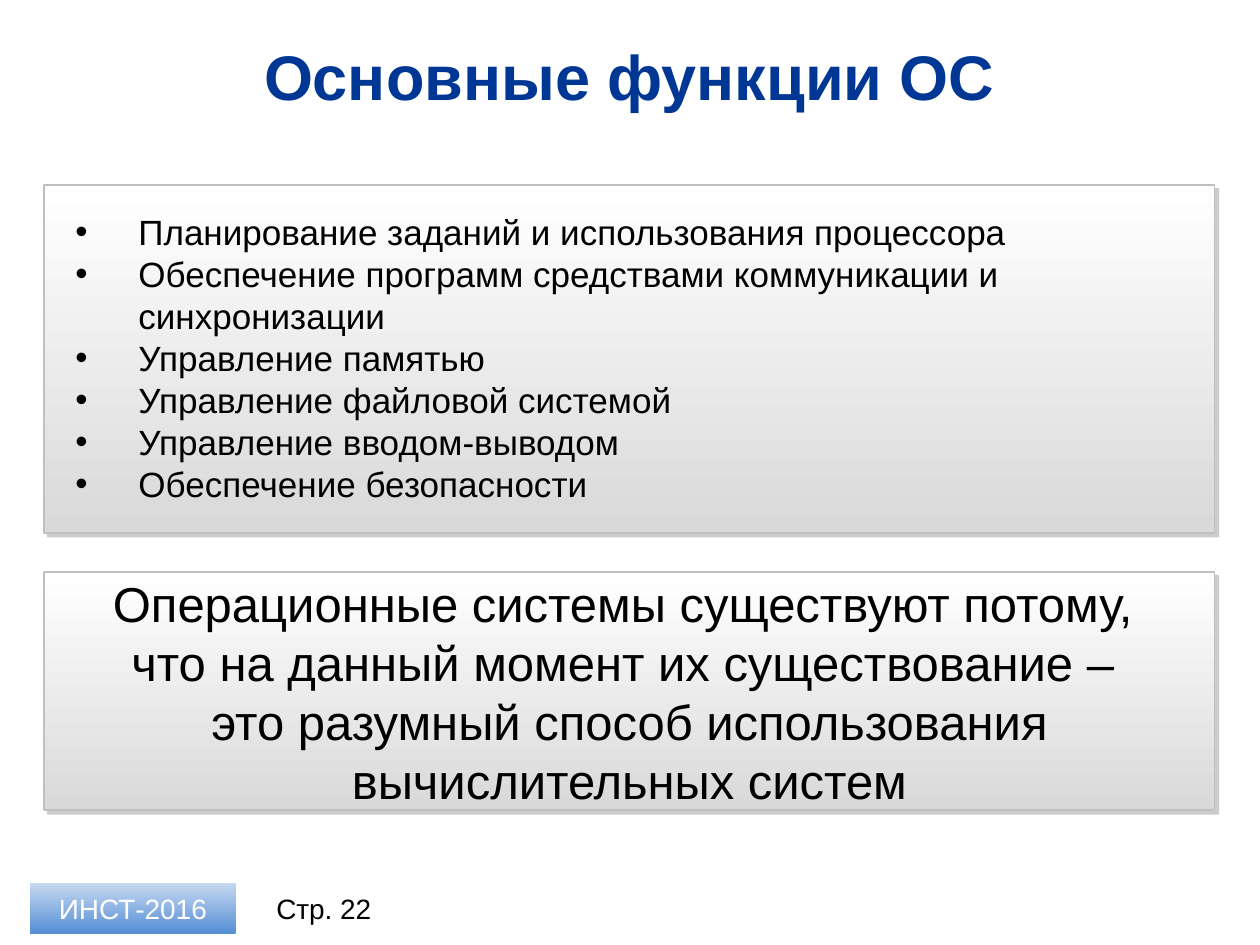
import pptx
import pptx.util
import pptx.dml.color
import pptx.enum.shapes
import pptx.enum.text
import pptx.oxml
import pptx.oxml.ns
from pptx.util import Inches

ALIGN = pptx.enum.text.PP_ALIGN
MIDDLE = pptx.enum.text.MSO_ANCHOR.MIDDLE


def rgb(code):
    return pptx.dml.color.RGBColor.from_string(code)


def write(shape, lines, size, color, align=ALIGN.CENTER, anchor=MIDDLE):
    """Fill the shape with one paragraph per line, all in one style."""
    frame = shape.text_frame
    frame.word_wrap = True
    frame.vertical_anchor = anchor
    for number, line in enumerate(lines):
        paragraph = frame.add_paragraph() if number else frame.paragraphs[0]
        paragraph.text = line
        paragraph.alignment = align
        paragraph.font.name = "Arial"
        paragraph.font.size = pptx.util.Pt(size)
        paragraph.font.color.rgb = rgb(color)
    return frame


deck = pptx.Presentation()
deck.slide_width, deck.slide_height = Inches(10), Inches(7.5)
slide = deck.slides.add_slide(deck.slide_layouts[6])

title = slide.shapes.add_textbox(Inches(0.35), Inches(0.26), Inches(9.29), Inches(0.68))
write(title, ["Основные функции ОС"], 36, "003794").paragraphs[0].font.bold = True

# Gradient boxes: left, top, width, height, start colour, end colour, angle
boxes = []
for left, top, width, height, start, end, angle in [
    (0.35, 1.47, 9.29, 2.76, "FFFFFF", "D9D9D9", 270),
    (0.35, 4.54, 9.29, 1.89, "FFFFFF", "D9D9D9", 270),
    (0.24, 7.01, 1.63, 0.4, "558ED5", "C6D9F1", 90),
]:
    box = slide.shapes.add_shape(
        pptx.enum.shapes.MSO_SHAPE.RECTANGLE,
        Inches(left), Inches(top), Inches(width), Inches(height))
    box.shadow.inherit = False
    box.fill.gradient()
    box.fill.gradient_angle = angle
    for stop, color in zip(box.fill.gradient_stops, (start, end)):
        stop.color.rgb = rgb(color)
    box.line.fill.background()
    boxes.append(box)
functions_panel, conclusion, institute = boxes

for panel in (functions_panel, conclusion):
    panel.line.color.rgb = rgb("C0C0C0")
    panel.line.width = pptx.util.Pt(1)
    effects = panel._element.spPr.find(pptx.oxml.ns.qn("a:effectLst"))
    effects.append(pptx.oxml.parse_xml(
        f'<a:outerShdw {pptx.oxml.ns.nsdecls("a")} dist="38100" dir="2700000" '
        'algn="tl" rotWithShape="0"><a:srgbClr val="808080">'
        '<a:alpha val="40000"/></a:srgbClr></a:outerShdw>'))

functions = slide.shapes.add_textbox(Inches(0.5), Inches(1.62), Inches(8.68), Inches(2.46))
functions_text = write(functions, [
    "Планирование заданий и использования процессора",
    "Обеспечение программ средствами коммуникации и синхронизации",
    "Управление памятью",
    "Управление файловой системой",
    "Управление вводом-выводом",
    "Обеспечение безопасности",
], 20, "000000", ALIGN.LEFT, pptx.enum.text.MSO_ANCHOR.TOP)
functions_text.auto_size = pptx.enum.text.MSO_AUTO_SIZE.SHAPE_TO_FIT_TEXT
for paragraph in functions_text.paragraphs:
    properties = paragraph._p.get_or_add_pPr()
    properties.set("marL", str(Inches(0.5)))
    properties.set("indent", str(-Inches(0.5)))
    for bullet in ('buFont {} typeface="Arial"', 'buChar {} char="•"'):
        properties.insert_element_before(
            pptx.oxml.parse_xml(f'<a:{bullet.format(pptx.oxml.ns.nsdecls("a"))}/>'),
            "a:tabLst", "a:defRPr", "a:extLst")

conclusion_text = write(conclusion, [
    "Операционные системы существуют потому, \v"
    "что на данный момент их существование – \v"
    "это разумный способ использования вычислительных систем"], 28, "000000")
conclusion_text.margin_left = conclusion_text.margin_right = Inches(0.24)
conclusion_text.margin_top = conclusion_text.margin_bottom = Inches(0.04)

write(institute, ["ИНСТ-2016"], 16, "FFFFFF")
page = slide.shapes.add_textbox(Inches(2.03), Inches(7.01), Inches(1.08), Inches(0.4))
write(page, ["Стр. 22"], 16, "000000")

deck.save("out.pptx")
